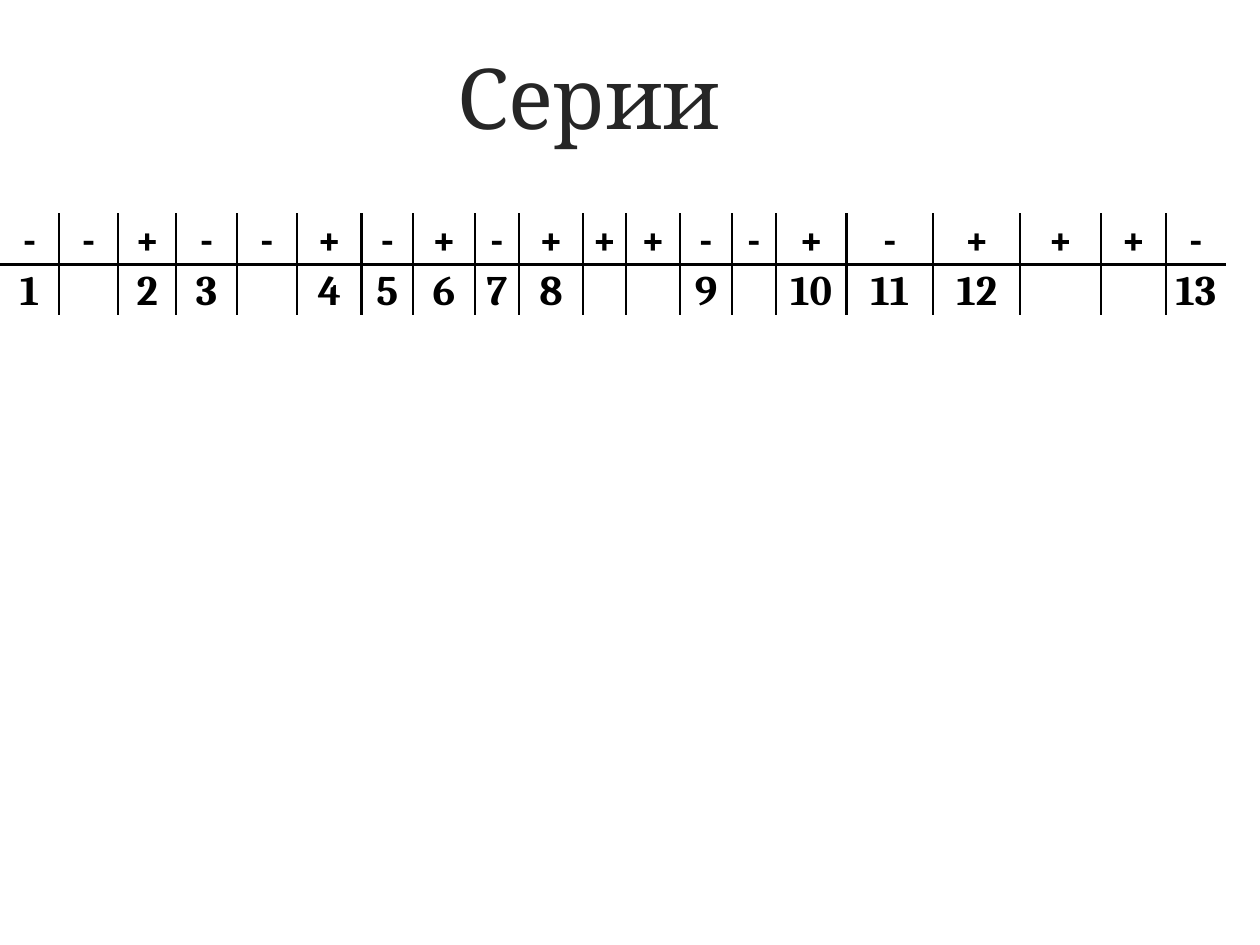
from itertools import groupby

from lxml.etree import SubElement
from pptx import Presentation
from pptx.dml.color import RGBColor
from pptx.enum.text import MSO_ANCHOR, PP_ALIGN
from pptx.oxml.ns import qn
from pptx.util import Inches, Pt

BLACK = RGBColor(0x00, 0x00, 0x00)
WHITE = RGBColor(0xFF, 0xFF, 0xFF)
DARK = RGBColor(0x26, 0x26, 0x26)
FONT = "Cambria"
SIGNS = "--+--+-+-+++--+-+++-"
COL_WIDTHS = [0.47, 0.47, 0.46, 0.48, 0.48, 0.51, 0.41, 0.49, 0.35, 0.51,
              0.34, 0.43, 0.41, 0.35, 0.56, 0.69, 0.69, 0.64, 0.52, 0.47]
ROW_HEIGHTS = [0.4, 0.41]


def write_text(tf, text, size=24, color=BLACK, bold=False):
    """Put one centred, formatted line into a text frame."""
    p = tf.paragraphs[0]
    p.alignment = PP_ALIGN.CENTER
    r = p.add_run()
    r.text = text
    r.font.name = FONT
    r.font.size = Pt(size)
    r.font.bold = bold
    r.font.color.rgb = color


def set_borders(cell, outer):
    """Draw white lines on the outer sides of a cell and black on the others."""
    tc_pr = cell._tc.get_or_add_tcPr()
    for i, side in enumerate("LRTB"):
        color, width = (WHITE, 1) if side in outer else (BLACK, 1.5)
        ln = SubElement(tc_pr, qn(f"a:ln{side}"), w=str(Pt(width)))
        fill = SubElement(ln, qn("a:solidFill"))
        SubElement(fill, qn("a:srgbClr"), val=str(color))
        tc_pr.insert(i, ln)


def series_numbers(signs):
    """Number each run of equal signs at its first sign."""
    numbers = []
    for n, (_, run) in enumerate(groupby(signs), start=1):
        numbers += [str(n)] + [""] * (len(list(run)) - 1)
    return numbers


def add_title(s, text, left, top, width, height):
    """Place and fill the title placeholder."""
    sp = s.shapes.title
    sp.left, sp.top, sp.width, sp.height = left, top, width, height
    tf = sp.text_frame
    tf.vertical_anchor = MSO_ANCHOR.MIDDLE
    write_text(tf, text, size=48, color=DARK)


def add_series_table(s, left, top, width, height):
    """Add the table of signs with the series numbers below them."""
    rows = [SIGNS, series_numbers(SIGNS)]
    table = s.shapes.add_table(2, len(SIGNS), left, top, width, height).table
    table.first_row = table.horz_banding = False
    for col, w in zip(table.columns, COL_WIDTHS):
        col.width = Inches(w)
    for row, h in zip(table.rows, ROW_HEIGHTS):
        row.height = Inches(h)
    last = len(SIGNS) - 1
    for i, texts in enumerate(rows):
        for j, text in enumerate(texts):
            cell = table.cell(i, j)
            cell.fill.background()
            cell.margin_left = cell.margin_right = cell.margin_top = Inches(0.01)
            cell.margin_bottom = 0
            cell.vertical_anchor = MSO_ANCHOR.BOTTOM
            if text:
                write_text(cell.text_frame, text, bold=True)
            set_borders(cell, "TB"[i] + {0: "L", last: "R"}.get(j, ""))


def main():
    """Build the slide and save it."""
    prs = Presentation()
    prs.slide_width, prs.slide_height = Inches(10), Inches(7.5)
    s = prs.slides.add_slide(prs.slide_layouts[5])
    add_title(s, "Серии", Inches(0.28), Inches(0.29), Inches(8.79), Inches(0.94))
    add_series_table(s, 0, Inches(1.7), Inches(sum(COL_WIDTHS)), Inches(sum(ROW_HEIGHTS)))
    prs.save("out.pptx")


if __name__ == "__main__":
    main()
